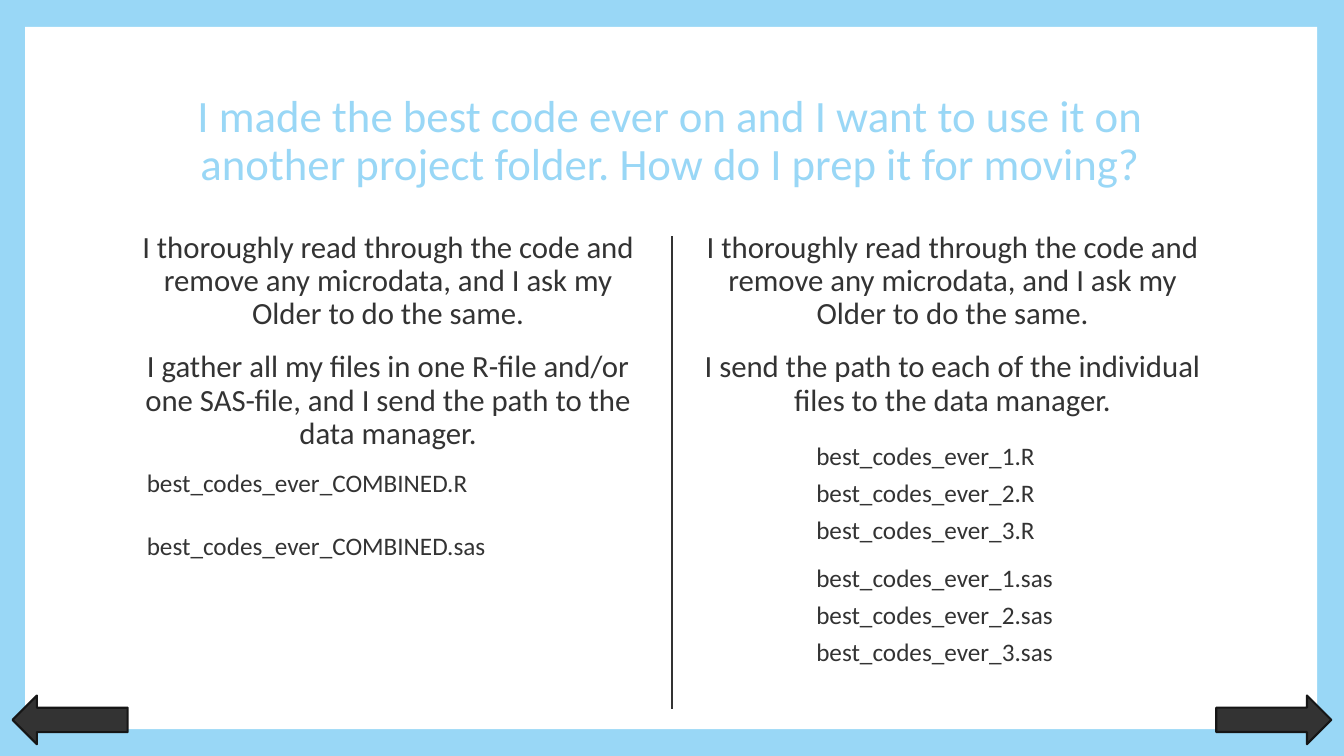
from lxml.etree import SubElement as Sub
from pptx import Presentation as Deck
from pptx.dml.color import RGBColor as Rgb
from pptx.enum.shapes import MSO_CONNECTOR as Line, MSO_SHAPE as Form
from pptx.enum.text import MSO_ANCHOR as Anchor, MSO_AUTO_SIZE as Fit, PP_ALIGN as Align
from pptx.oxml.ns import qn
from pptx.util import Inches, Pt

HUES = {"sky": "99D7F6", "page": "FFFFFF", "ink": "333333", "edge": "161616"}
COLS, ROWS = 160, 90
CELL = Inches(7.5) / ROWS
READ = "I thoroughly read through the code and remove any microdata, and I ask my Older to do the same."
PACK = "I gather all my files in one R-file and/or one SAS-file, and I send the path to the data manager."
SEND = "I send the path to each of the individual files to the data manager."


def hue(name):
    return Rgb.from_string(HUES[name])


def span(*cells):
    return [round(n * CELL) for n in cells]


def place(item, box):
    item.left, item.top, item.width, item.height = span(*box)


def write(frame, lines, size, color, align=Align.LEFT, gap=0, lead=None):
    frame.text = "\n".join(lines)
    frame.word_wrap = True
    frame.auto_size = Fit.NONE
    for i, para in enumerate(frame.paragraphs):
        props = para._p.get_or_add_pPr()
        props.set("marL", "0")
        props.set("indent", "0")
        Sub(props, qn("a:buNone"))
        para.alignment = align
        para.line_spacing = lead
        para.space_before = Pt(gap if i else 0)
        for run in para.runs:
            run.font.name = "Calibri"
            run.font.size = Pt(size)
            run.font.color.rgb = hue(color)


def draw(slide, form, box, fill, edge=None):
    item = slide.shapes.add_shape(form, *span(*box))
    item.shadow.inherit = False
    item.fill.solid()
    item.fill.fore_color.rgb = hue(fill)
    if edge:
        item.line.color.rgb = hue(edge)
        item.line.width = Pt(1.5)
    else:
        item.line.fill.background()
    return item


def frame(slide, box):
    slide.background.fill.solid()
    slide.background.fill.fore_color.rgb = hue("sky")
    panel = draw(slide, Form.RECTANGLE, box, "page")
    slide.shapes._spTree.insert(2, panel._element)


def header(slide, box, text):
    title = slide.shapes.title
    place(title, box)
    write(title.text_frame, [text], 32, "sky", Align.CENTER, lead=0.9)
    title.text_frame.vertical_anchor = Anchor.MIDDLE


def column(slide, index, box, lines):
    body = slide.placeholders[index]
    place(body, box)
    write(body.text_frame, lines, 22, "ink", Align.CENTER, 14, 0.9)
    body.text_frame.vertical_anchor = Anchor.TOP


def files(slide, box, names, pitch):
    x, y, w, h = box
    for i, name in enumerate(names):
        label = slide.shapes.add_textbox(*span(x, y + i * pitch, w, h))
        write(label.text_frame, [name], 18, "ink")


def divide(slide, x, top, end):
    rule = slide.shapes.add_connector(Line.STRAIGHT, *span(x, top, x, end))
    rule.line.color.rgb = hue("ink")
    rule.line.width = Pt(1.5)
    Sub(rule._element.spPr, qn("a:effectLst"))


def arrows(slide, box):
    x, y, w, h = box
    for left, turn in ((x, 180), (COLS - x - w, 0)):
        arrow = draw(slide, Form.RIGHT_ARROW, (left, y, w, h), "ink", "edge")
        arrow.rotation = turn


def main():
    deck = Deck()
    deck.slide_width, deck.slide_height = span(COLS, ROWS)
    slide = deck.slides.add_slide(deck.slide_layouts[3])
    left, top, wide, tall = 15, 27, 62.4, 52.8
    right = left + wide + 4.8
    frame(slide, (3, 3.2, 153.8, 83.6))
    header(slide, (left, 8, 129.6, 17.8),
           "I made the best code ever on and I want to use it on another project folder. "
           "How do I prep it for moving?")
    column(slide, 1, (left, top, wide, tall), [READ, PACK])
    column(slide, 2, (right, top, wide, tall), [READ, SEND])
    divide(slide, COLS / 2, 28.1, 84.4)
    arrows(slide, (1.5, 82.8, 13.7, 5.8))
    kinds = ("R", "sas")
    files(slide, (left + 1.3, top + 28.1, 44.4, 4.8),
          [f"best_codes_ever_COMBINED.{kind}" for kind in kinds], 7.5)
    for i, kind in enumerate(kinds):
        files(slide, (right + 13.8, top + 24.8 + i * 14.6, 31.2, 4.8),
              [f"best_codes_ever_{n}.{kind}" for n in (1, 2, 3)], 4.4)
    deck.save("out.pptx")


if __name__ == "__main__":
    main()
